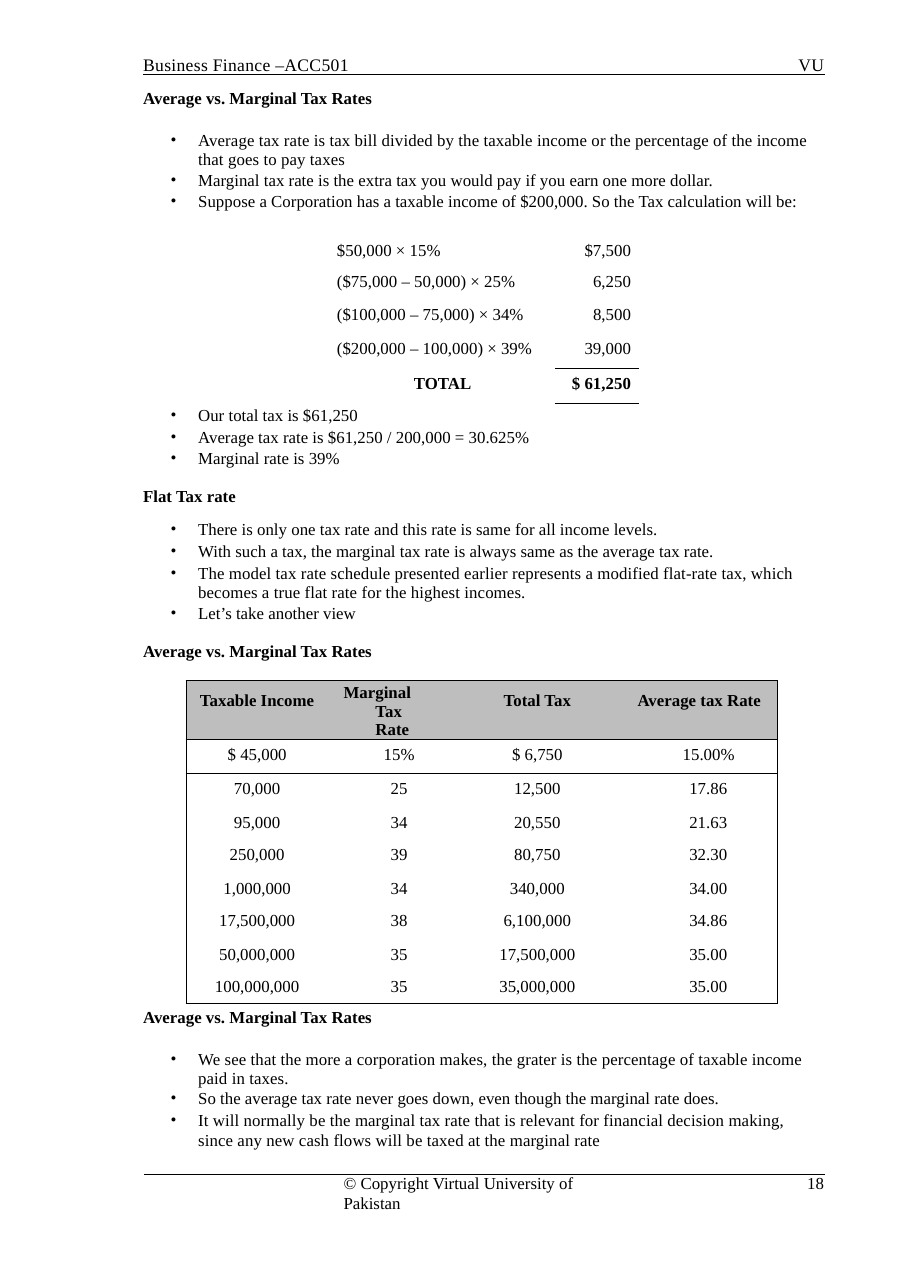
from lxml.etree import SubElement
from pptx import Presentation
from pptx.dml.color import RGBColor
from pptx.enum.shapes import MSO_CONNECTOR
from pptx.enum.text import MSO_ANCHOR, MSO_AUTO_SIZE, PP_ALIGN
from pptx.oxml import parse_xml
from pptx.oxml.ns import nsdecls, qn
from pptx.util import Inches, Pt

FONT = "Times New Roman"
BLACK = RGBColor(0, 0, 0)
GRAY = RGBColor(0xBE, 0xBE, 0xBE)
LEFT, WIDE = 1.29, 6.2
NO_STYLE = "{2D5ABB26-0587-4C30-8999-92F81FD0307C}"

# Content
TITLE = "Average vs. Marginal Tax Rates"

# Page text: text, left, top, width, height, size, letter spacing, line height
PAGE = [
    ("Business Finance –ACC501", 1.3, 0.49, 1.95, 0.21, 11.5, 0.2, None),
    ("VU", 7.25, 0.49, 0.3, 0.21, 11.5, 0.3, None),
    ("© Copyright Virtual University of Pakistan", 3.12, 10.66, 2.56, 0.36, 11, 0, 12.8),
    ("18", 7.33, 10.66, 0.2, 0.2, 11, 0.1, 12.8),
]

# Rules: left, y, right, weight
RULES = [(1.3, 0.68, 7.49, 0.75), (1.31, 10.67, 7.49, 1)]

# Notes: top, height, then (kind, text, space before, line height)
NOTES = [
    (1.19, 0.74, [
        ("item", "Average tax rate is tax bill divided by the taxable income or the "
                 "percentage of the income that goes to pay taxes", 0, 12.4),
        ("item", "Marginal tax rate is the extra tax you would pay if you earn one "
                 "more dollar.", 0.6, None),
        ("item", "Suppose a Corporation has a taxable income of $200,000. So the Tax "
                 "calculation will be:", 0.8, None),
    ]),
    (3.68, 2.33, [
        ("item", "Our total tax is $61,250", 0, None),
        ("item", "Average tax rate is $61,250 / 200,000 = 30.625%", 0.8, None),
        ("item", "Marginal rate is 39%", 0.5, None),
        ("head", "Flat Tax rate", 12.1, None),
        ("item", "There is only one tax rate and this rate is same for all income "
                 "levels.", 8.4, None),
        ("item", "With such a tax, the marginal tax rate is always same as the average "
                 "tax rate.", 0.8, None),
        ("item", "The model tax rate schedule presented earlier represents a modified "
                 "flat-rate tax, which becomes a true flat rate for the highest "
                 "incomes.", 1.8, 12.6),
        ("item", "Let’s take another view", 0.2, None),
        ("head", TITLE, 11.7, None),
    ]),
    (9.15, 1.29, [
        ("head", TITLE, 0, None),
        ("item", "We see that the more a corporation makes, the grater is the "
                 "percentage of taxable income paid in taxes.", 14.3, 12.6),
        ("item", "So the average tax rate never goes down, even though the marginal "
                 "rate does.", 0.1, None),
        ("item", "It will normally be the marginal tax rate that is relevant for "
                 "financial decision making, since any new cash flows will be taxed "
                 "at the marginal rate", 1.8, 12.6),
    ]),
]

BILL = [
    ("$50,000 × 15%", "$7,500"),
    ("($75,000 – 50,000) × 25%", "6,250"),
    ("($100,000 – 75,000) × 34%", "8,500"),
    ("($200,000 – 100,000) × 39%", "39,000"),
    ("TOTAL", "$ 61,250"),
]
BILL_COLS = [2.12, 0.76]
BILL_ROWS = [0.24, 0.3, 0.3, 0.31, 0.32]
BILL_PADS = [0, 0.04, 0.04, 0.04, 0.05]

RATES = [
    ("Taxable Income", "Marginal Tax Rate", "Total Tax", "Average tax Rate"),
    ("$ 45,000", "15%", "$ 6,750", "15.00%"),
    ("70,000", "25", "12,500", "17.86"),
    ("95,000", "34", "20,550", "21.63"),
    ("250,000", "39", "80,750", "32.30"),
    ("1,000,000", "34", "340,000", "34.00"),
    ("17,500,000", "38", "6,100,000", "34.86"),
    ("50,000,000", "35", "17,500,000", "35.00"),
    ("100,000,000", "35", "35,000,000", "35.00"),
]
RATE_COLS = [1.29, 1.29, 1.22, 1.57]
RATE_ROWS = [0.4, 0.31, 0.31, 0.3, 0.3, 0.3, 0.3, 0.3, 0.28]
RATE_PADS = [0.1, 0.05, 0.05, 0.05, 0.04, 0.05, 0.04, 0.05, 0.04]
SIDES = {0: "L", 3: "R"}
ENDS = {0: "TB", 1: "T", 8: "B"}


def style(para, size=11, bold=False, gap=0):
    for run in para.runs:
        font = run.font
        font.name, font.size, font.bold = FONT, Pt(size), bold
        font.color.rgb = BLACK
        if gap:
            font._element.set("spc", str(round(gap * 100)))


def indent(para, left, first=0):
    props = para._p.get_or_add_pPr()
    props.set("marL", str(Inches(left)))
    props.set("indent", str(Inches(first)))
    return props


def pad(part, left=0, top=0, right=0):
    part.margin_left, part.margin_top = Inches(left), Inches(top)
    part.margin_right, part.margin_bottom = Inches(right), 0


def frame(shape):
    text = shape.text_frame
    pad(text)
    text.word_wrap = True
    text.auto_size = MSO_AUTO_SIZE.NONE
    text.vertical_anchor = MSO_ANCHOR.TOP
    return text


def add_box(slide, left, top, width, height):
    return frame(slide.shapes.add_textbox(*map(Inches, (left, top, width, height))))


def add_notes(slide, top, height, items):
    text = add_box(slide, LEFT, top, WIDE, height)
    for i, (kind, words, before, line) in enumerate(items):
        para = text.add_paragraph() if i else text.paragraphs[0]
        para.text = words
        if kind == "item":
            props = indent(para, 0.51, -0.25)
            SubElement(props, qn("a:buFont")).set("typeface", FONT)
            SubElement(props, qn("a:buChar")).set("char", "•")
        else:
            indent(para, 0.01)
        if before:
            para.space_before = Pt(before)
        if line:
            para.line_spacing = Pt(line)
        style(para, bold=kind == "head", gap=0.05 if line else 0)


def add_grid(slide, left, top, cols, rows, data, pads):
    spot = map(Inches, (left, top, sum(cols), sum(rows)))
    grid = slide.shapes.add_table(len(rows), len(cols), *spot).table
    grid.first_row = grid.horz_banding = False
    grid._tbl.tblPr[0].text = NO_STYLE
    for col, width in zip(grid.columns, cols):
        col.width = Inches(width)
    for r, (row, height) in enumerate(zip(grid.rows, rows)):
        row.height = Inches(height)
        for cell, words in zip(row.cells, data[r]):
            pad(cell, top=pads[r])
            cell.text = words
            cell.fill.background()
            style(cell.text_frame.paragraphs[0])
    return grid


def edge(cell, sides):
    props = cell._tc.get_or_add_tcPr()
    for i, side in enumerate(s for s in "LRTB" if s in sides):
        props.insert(i, parse_xml(
            f'<a:ln{side} {nsdecls("a")} w="{Pt(0.75)}"><a:solidFill>'
            f'<a:srgbClr val="{BLACK}"/></a:solidFill></a:ln{side}>'))


def add_bill(slide):
    grid = add_grid(slide, 2.92, 2.2, BILL_COLS, BILL_ROWS, BILL, BILL_PADS)
    last = len(BILL) - 1
    for r in range(len(BILL)):
        work, tax = grid.cell(r, 0), grid.cell(r, 1)
        work.margin_left = Inches(0.08 if r == last else 0.14)
        tax.margin_right = Inches(0.07)
        tax.text_frame.paragraphs[0].alignment = PP_ALIGN.RIGHT
        for cell in (work, tax):
            para = cell.text_frame.paragraphs[0]
            style(para, bold=r == last)
            if r == 0:
                para.line_spacing = Pt(11.8)
    grid.cell(last, 0).text_frame.paragraphs[0].alignment = PP_ALIGN.CENTER
    edge(grid.cell(last - 1, 1), "B")
    edge(grid.cell(last, 1), "TB")


def add_rates(slide):
    grid = add_grid(slide, 1.69, 6.18, RATE_COLS, RATE_ROWS, RATES, RATE_PADS)
    for r in range(len(RATES)):
        for c in range(len(RATE_COLS)):
            cell = grid.cell(r, c)
            para = cell.text_frame.paragraphs[0]
            if c == 3:
                indent(para, {0: 0.3, 1: 0.71}.get(r, 0.77))
            elif (r, c) != (0, 1):
                para.alignment = PP_ALIGN.CENTER
            if r == 0:
                style(para, bold=True)
                cell.fill.solid()
                cell.fill.fore_color.rgb = GRAY
            edge(cell, SIDES.get(c, "") + ENDS.get(r, ""))
    # The narrow heading hangs over three lines
    head = grid.cell(0, 1)
    pad(head, top=0.03, right=0.4)
    para = head.text_frame.paragraphs[0]
    indent(para, 0.43, -0.29)
    para.line_spacing = Pt(12.2)


def main():
    deck = Presentation()
    deck.slide_width = Pt(595)
    deck.slide_height = Pt(842.5)
    slide = deck.slides.add_slide(deck.slide_layouts[5])

    # Title
    title = slide.shapes.title
    title.left, title.top = Inches(LEFT + 0.01), Inches(0.8)
    title.width, title.height = Inches(WIDE), Inches(0.2)
    text = frame(title)
    text.text = TITLE
    text.paragraphs[0].alignment = PP_ALIGN.LEFT
    style(text.paragraphs[0], bold=True)

    # Header and footer
    for words, left, top, width, height, size, gap, line in PAGE:
        para = add_box(slide, left, top, width, height).paragraphs[0]
        para.text = words
        if line:
            para.line_spacing = Pt(line)
        style(para, size, gap=gap)
    for left, y, right, weight in RULES:
        rule = slide.shapes.add_connector(
            MSO_CONNECTOR.STRAIGHT, *map(Inches, (left, y, right, y)))
        rule.line.color.rgb, rule.line.width = BLACK, Pt(weight)
        SubElement(rule._element.spPr, qn("a:effectLst"))

    # Body
    for top, height, items in NOTES:
        add_notes(slide, top, height, items)
    add_bill(slide)
    add_rates(slide)
    deck.save("out.pptx")


if __name__ == "__main__":
    main()
